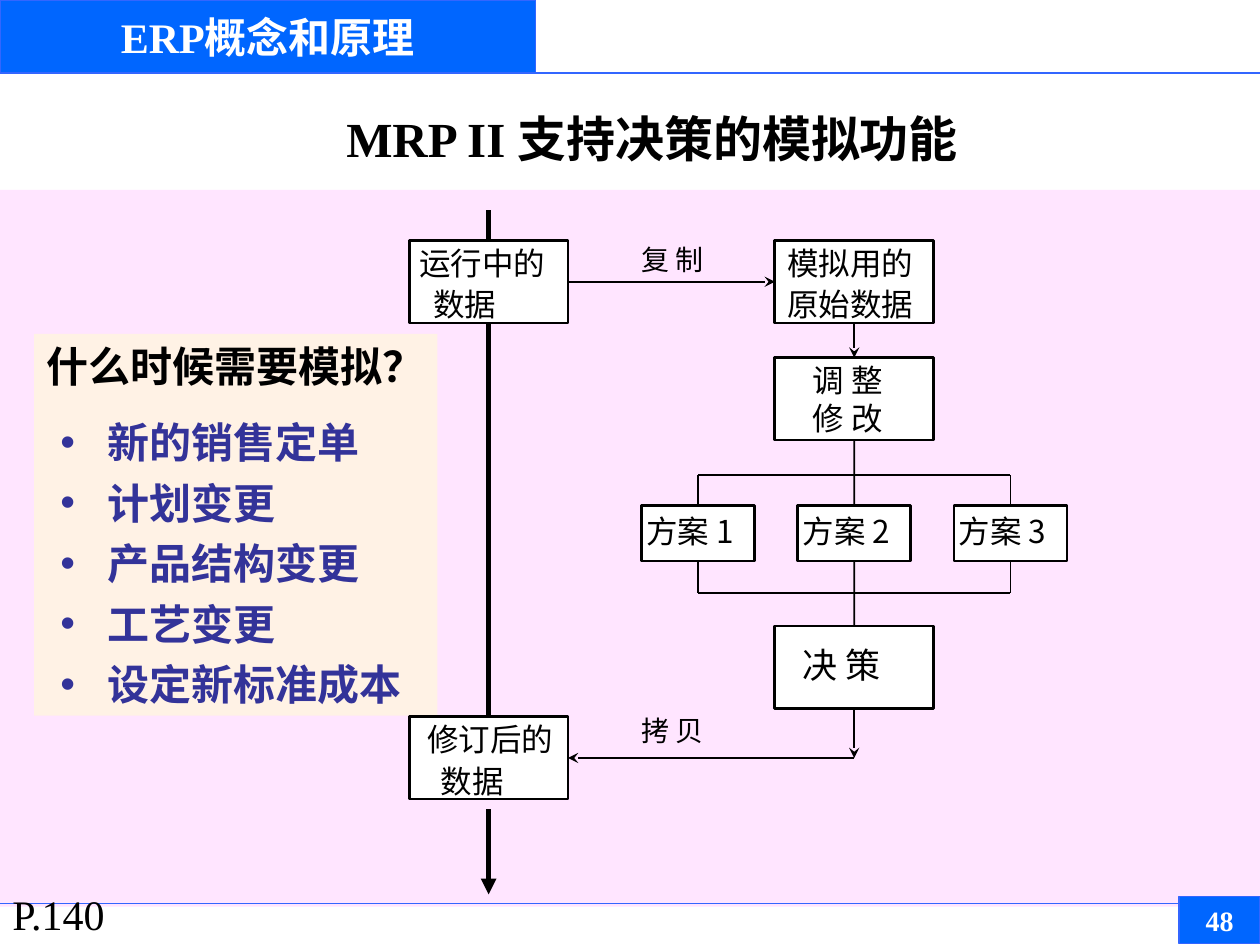
from lxml import etree
from pptx import Presentation
from pptx.dml.color import RGBColor
from pptx.enum.shapes import MSO_CONNECTOR, MSO_SHAPE
from pptx.enum.text import MSO_ANCHOR, PP_ALIGN
from pptx.oxml.ns import qn
from pptx.util import Cm, Pt

RECT = MSO_SHAPE.RECTANGLE
STRAIGHT = MSO_CONNECTOR.STRAIGHT
MIDDLE = MSO_ANCHOR.MIDDLE
LEFT, CENTER = PP_ALIGN.LEFT, PP_ALIGN.CENTER
TOP, WEST, BOTTOM, EAST = range(4)


class Theme:
    black, white = "000000", "FFFFFF"
    pink, cream = "FFCCFF", "FFFFCC"
    blue, edge, navy = "0066FF", "3366FF", "333399"
    sans, serif, dot = "Noto Sans CJK SC", "Times New Roman", "Arial"
    small, body, large, head, title = 16, 18, 20, 24, 28


prs = Presentation()
prs.slide_width, prs.slide_height = Cm(25.4), Cm(19.05)
slide = prs.slides.add_slide(prs.slide_layouts[6])
shapes = slide.shapes


def write(text, at, fill=None, alpha=None, line=None, width=1.5, size=Theme.body,
          font=Theme.sans, color=Theme.black, bold=False, align=LEFT,
          space=1.0, inset=0.25, wrap=True):
    """Add text at (left, top, width, height) in cm, on a rectangle if filled."""
    place = [Cm(n) for n in at]
    if fill:
        shape = shapes.add_shape(RECT, *place)
        shape.shadow.inherit = False
        shape.fill.solid()
        shape.fill.fore_color.rgb = RGBColor.from_string(fill)
        if alpha:
            tint = shape.fill._xPr.find(".//" + qn("a:srgbClr"))
            etree.SubElement(tint, qn("a:alpha"), val=str(alpha * 1000))
        if line:
            shape.line.color.rgb = RGBColor.from_string(line)
            shape.line.width = Pt(width)
        else:
            shape.line.fill.background()
    else:
        shape = shapes.add_textbox(*place)
    frame = shape.text_frame
    frame.word_wrap = wrap
    frame.vertical_anchor = MIDDLE
    frame.margin_left = Cm(inset)
    frame.margin_right = frame.margin_top = frame.margin_bottom = 0
    if align == CENTER:
        frame.margin_right = Cm(inset)
    frame.text = text
    for par in frame.paragraphs:
        par.alignment, par.line_spacing = align, space
        for run in par.runs:
            run.font.name, run.font.size, run.font.bold = font, Pt(size), bold
            run.font.color.rgb = RGBColor.from_string(color)
            etree.SubElement(run.font._element, qn("a:ea"), typeface=Theme.sans)
    return shape


def link(start, end, color=Theme.black, width=1, tip=None):
    """Join two ends, each an (x, y) in cm or a (shape, side) pair."""
    ends = [(0, 0) if hasattr(e[0], "shape_id") else e for e in (start, end)]
    wire = shapes.add_connector(STRAIGHT, *[Cm(n) for e in ends for n in e])
    for e, join in ((start, wire.begin_connect), (end, wire.end_connect)):
        if hasattr(e[0], "shape_id"):
            join(*e)
    wire.line.color.rgb = RGBColor.from_string(color)
    wire.line.width = Pt(width)
    if tip:
        etree.SubElement(wire.line._get_or_add_ln(), qn("a:tailEnd"), type=tip)
    etree.SubElement(wire._element.spPr, qn("a:effectLst"))


# Backdrop, header and footer
write("", (0, 3.83, 25.4, 14.45), fill=Theme.pink, alpha=50)
for y, width in ((1.47, 1.5), (18.21, 0.75)):
    link((0, y), (25.4, y), color=Theme.edge, width=width)
badge = dict(fill=Theme.blue, line=Theme.edge, width=0.75, font=Theme.serif,
             color=Theme.white, bold=True, align=CENTER)
write("ERP概念和原理", (0, 0, 10.8, 1.47), size=Theme.head, **badge)
write("48", (23.77, 18.08, 1.63, 0.94), size=Theme.small, **badge)
write("P.140", (0, 17.78, 2.46, 1.27), size=Theme.head, font=Theme.serif, wrap=False)
write("MRP II 支持决策的模拟功能", (6.58, 2.06, 13.13, 1.45), size=Theme.title,
      font=Theme.serif, bold=True, align=CENTER, wrap=False)

# Reasons panel
reasons = ["新的销售定单", "计划变更", "产品结构变更", "工艺变更", "设定新标准成本"]
panel = write("\n".join(["什么时候需要模拟？", *reasons]), (0.69, 6.73, 8.13, 7.7),
              fill=Theme.cream, alpha=50, size=Theme.head, font=Theme.serif, bold=True)
first, *items = panel.text_frame.paragraphs
first.space_after = Pt(9)
for par in items:
    par.line_spacing = 1.2
    par.runs[0].font.color.rgb = RGBColor.from_string(Theme.navy)
    props = par._p.get_or_add_pPr()
    props.set("marL", str(Cm(1.23)))
    props.set("indent", str(Cm(-0.95)))
    etree.SubElement(props, qn("a:buFont"), typeface=Theme.dot)
    etree.SubElement(props, qn("a:buChar"), char="•")

# Flow boxes, centred on the main line and the trial line
main, trial = 9.85, 17.22
wide, high = 3.2, 1.66
steps = {}
for key, text, mid, top, inset, space, size in (
        ("live", "运行中的\n数据", main, 4.85, 0.2, 1.1, Theme.body),
        ("base", "模拟用的\n原始数据", trial, 4.85, 0.25, 1.1, Theme.body),
        ("tune", "调 整\n修 改", trial, 7.21, 0.77, 1.0, Theme.body),
        ("choose", "决 策", trial, 12.62, 0.56, 0.9, Theme.large),
        ("final", "修订后的\n数据", main, 14.45, 0.36, 1.1, Theme.body)):
    steps[key] = write(text, (mid - wide / 2, top, wide, high), fill=Theme.white,
                       line=Theme.black, size=size, space=space, inset=inset)
for key in ("live", "final"):
    second = steps[key].text_frame.paragraphs[1]
    second._p.get_or_add_pPr().set("marL", str(Cm(0.28)))

# Three plans between two bars
pitch, upper, lower = 3.15, 9.58, 11.96
for n in (1, 2, 3):
    mid = trial + (n - 2) * pitch
    plan = write(f"方案 {n}", (mid - 1.14, 10.19, 2.28, 1.12), fill=Theme.white,
                 line=Theme.black, space=0.9, inset=0.1, wrap=False)
    link((steps["tune"], BOTTOM) if n == 2 else (mid, upper), (plan, TOP))
    link((plan, BOTTOM), (steps["choose"], TOP) if n == 2 else (mid, lower))
for y in (upper, lower):
    link((trial - pitch, y), (trial + pitch, y))

# Copy out, adjust and copy back
turn = (trial, 14.45 + high / 2)
link((steps["live"], EAST), (steps["base"], WEST), tip="stealth")
link((steps["base"], BOTTOM), (steps["tune"], TOP), tip="stealth")
link((steps["choose"], BOTTOM), turn, tip="stealth")
link(turn, (steps["final"], EAST), tip="stealth")
for text, top in (("复 制", 4.85), ("拷 贝", 14.33)):
    write(text, (12.46, top, 2.21, 0.86), size=Theme.small, space=0.9,
          align=CENTER, wrap=False)

# Main line
link((main, 4.24), (steps["live"], TOP), width=3)
link((steps["live"], BOTTOM), (steps["final"], TOP), width=3)
link((main, 16.31), (main, 18.03), width=3, tip="triangle")

prs.save("out.pptx")
